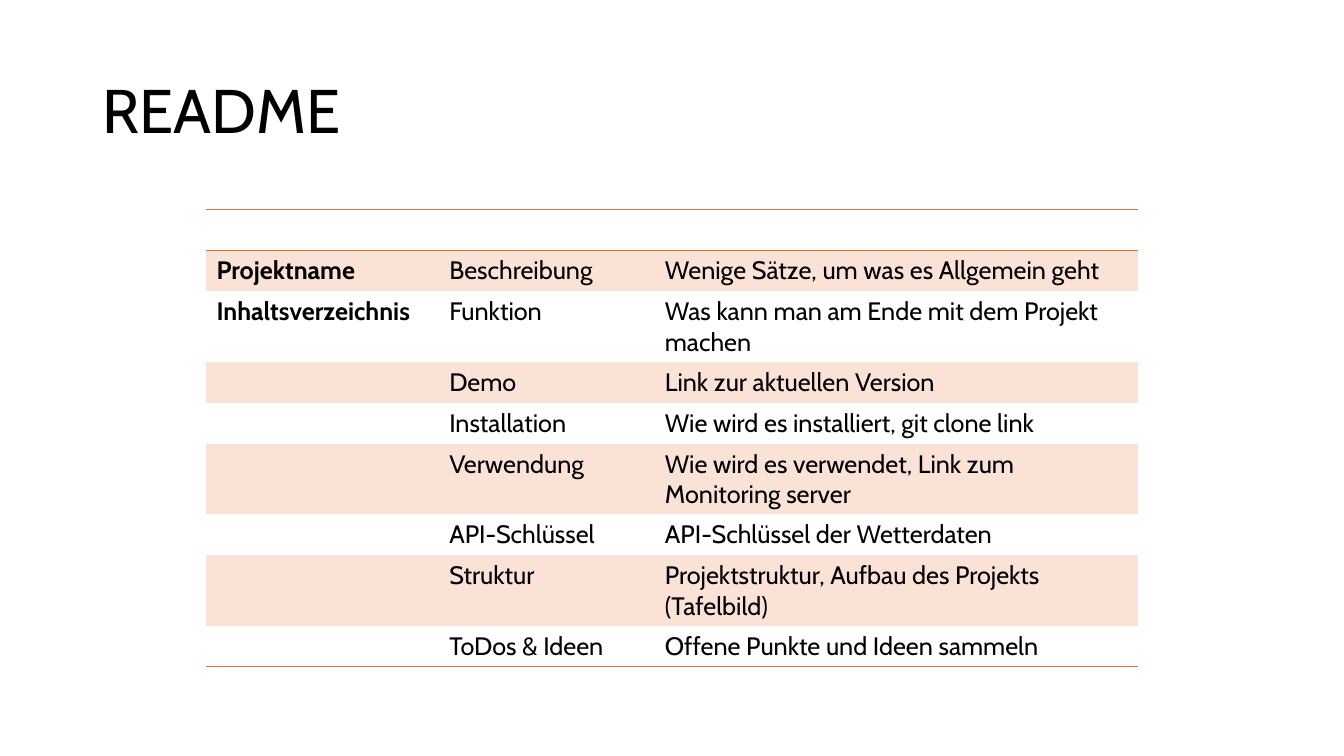
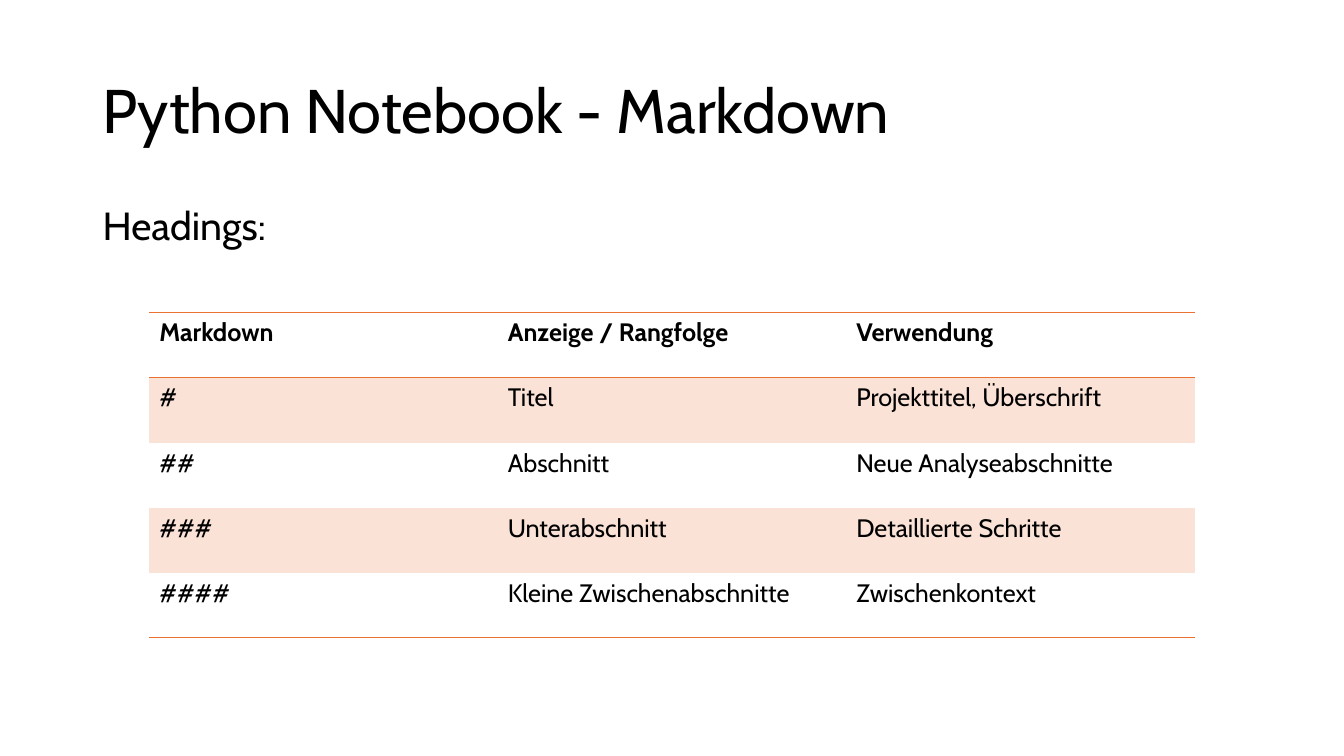
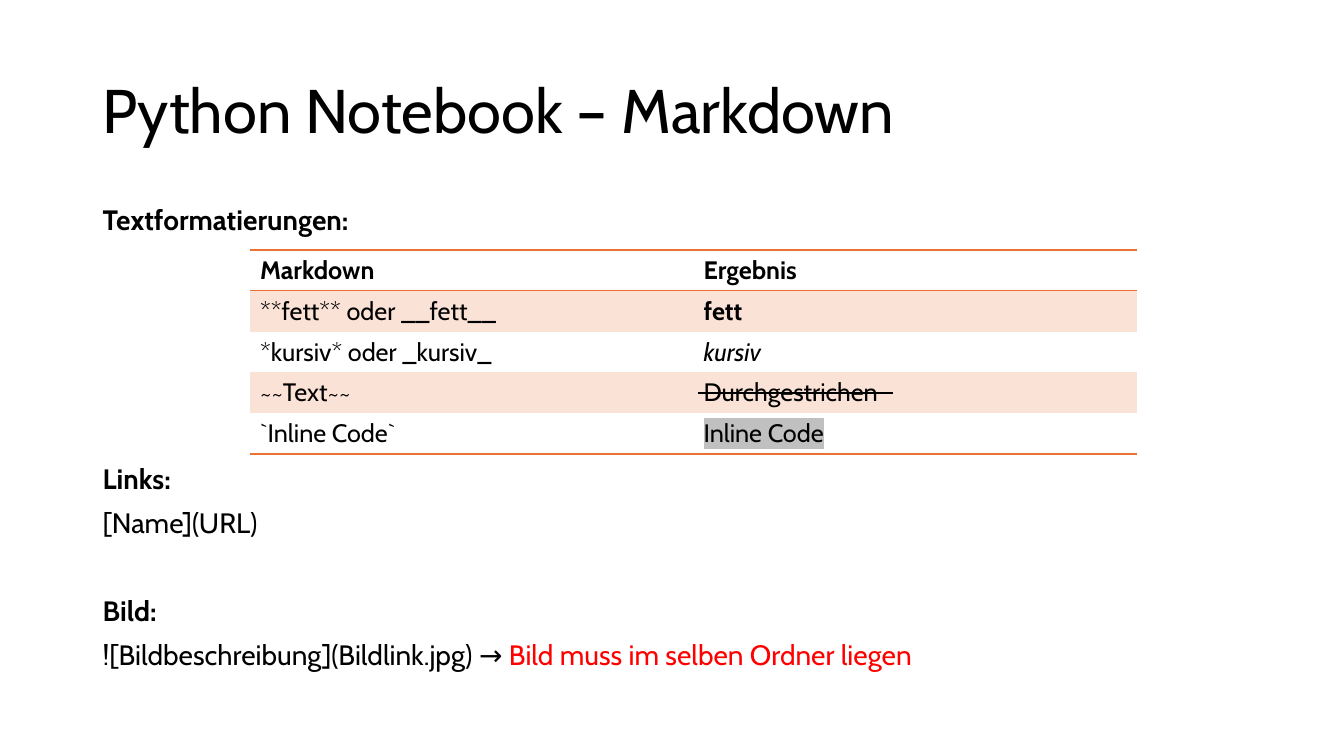
from dataclasses import dataclass

from lxml import etree
from pptx import Presentation
from pptx import util as u
from pptx.dml.color import RGBColor
from pptx.enum import shapes, text
from pptx.oxml import ns

BLACK = RGBColor(0x00, 0x00, 0x00)
RED = RGBColor(0xFF, 0x00, 0x00)
ORANGE = RGBColor(0xE9, 0x71, 0x32)
PEACH = RGBColor(0xFA, 0xE2, 0xD6)
SILVER = RGBColor(0xC0, 0xC0, 0xC0)

FONT = "Cabin"
WIDTH, HEIGHT = u.Inches(13.33), u.Inches(7.5)
PLAIN_TABLE = "{2D5ABB26-0587-4C30-8999-92F81FD0307C}"
BOLD = {"bold": True}


@dataclass
class Box:
    """A region in percent of the slide's width and height."""
    left: float
    top: float
    width: float
    height: float

    def emu(self):
        return (int(WIDTH * self.left / 100), int(HEIGHT * self.top / 100),
                int(WIDTH * self.width / 100), int(HEIGHT * self.height / 100))


TITLE = Box(6.9, 5.33, 86.25, 19.33)
BODY = Box(6.9, 26.67, 86.25, 63.47)


def add_run(paragraph, words, size, color=BLACK, highlight=None, **formats):
    run = paragraph.add_run()
    run.text = words
    run.font.color.rgb = color
    for name, value in {"name": FONT, "size": u.Pt(size), **formats}.items():
        setattr(run.font, name, value)
    if highlight:
        mark = etree.Element(ns.qn("a:highlight"))
        etree.SubElement(mark, ns.qn("a:srgbClr"), val=str(highlight))
        run.font._element.find(ns.qn("a:latin")).addprevious(mark)


def add_text(slide, box, paragraphs, size, anchor=text.MSO_ANCHOR.TOP):
    """Each paragraph is (space before, [(words, formats), ...])."""
    frame = slide.shapes.add_textbox(*box.emu()).text_frame
    frame.word_wrap = True
    frame.vertical_anchor = anchor
    for number, (space, runs) in enumerate(paragraphs):
        paragraph = frame.add_paragraph() if number else frame.paragraphs[0]
        paragraph.line_spacing = 0.9
        paragraph.space_before = u.Pt(space)
        for words, formats in runs:
            add_run(paragraph, words, size, **formats)


def add_rule(cell, sides):
    """Draws orange borders on the given sides, named T and B."""
    properties = cell._tc.get_or_add_tcPr()
    for place, side in enumerate(sides):
        line = etree.Element(ns.qn(f"a:ln{side}"), w=str(u.Pt(1)))
        fill = etree.SubElement(line, ns.qn("a:solidFill"))
        etree.SubElement(fill, ns.qn("a:srgbClr"), val=str(ORANGE))
        properties.insert(place, line)


def add_banded_table(slide, box, shares, rows, bold_first_column=False):
    """Header and last row are ruled, every second row is tinted."""
    left, top, width, height = box.emu()
    frame = slide.shapes.add_table(len(rows), len(shares), left, top, width, height)
    table = frame.table
    table._tbl.tblPr.find(ns.qn("a:tableStyleId")).text = PLAIN_TABLE
    for column, share in zip(table.columns, shares):
        column.width = int(width * share / sum(shares))
    for r, row in enumerate(rows):
        for c, content in enumerate(row):
            words, formats = content if isinstance(content, tuple) else (content, {})
            cell = table.cell(r, c)
            if words:
                bold = r == 0 or (bold_first_column and c == 0)
                add_run(cell.text_frame.paragraphs[0], words, 18,
                        **{"bold": bold, **formats})
            if r % 2:
                cell.fill.solid()
                cell.fill.fore_color.rgb = PEACH
            else:
                cell.fill.background()
            if r == 0:
                add_rule(cell, "TB")
            elif r == len(rows) - 1:
                add_rule(cell, "B")


def add_strike(slide, box, row, rows):
    """Strikes through the words in the right half of a table row."""
    left, top, width, height = box.emu()
    y = top + int(height * (row + 0.5) / rows)
    column = width / 2
    start, end = (left + int(column * share) for share in (1.01, 1.45))
    strike = slide.shapes.add_connector(shapes.MSO_CONNECTOR.STRAIGHT, start, y, end, y)
    strike.line.color.rgb = BLACK
    strike.line.width = u.Pt(1.5)
    etree.SubElement(strike._element.spPr, ns.qn("a:effectLst"))


def add_titled_slide(deck, title):
    slide = deck.slides.add_slide(deck.slide_layouts[6])
    add_text(slide, TITLE, [(0, [(title, {})])], 44, text.MSO_ANCHOR.MIDDLE)
    return slide


def readme_slide(deck):
    slide = add_titled_slide(deck, "README")
    sections = [
        ("", "", ""),
        ("Projektname", "Beschreibung", "Wenige Sätze, um was es Allgemein geht"),
        ("Inhaltsverzeichnis", "Funktion", "Was kann man am Ende mit dem Projekt machen"),
        ("", "Demo", "Link zur aktuellen Version"),
        ("", "Installation", "Wie wird es installiert, git clone link"),
        ("", "Verwendung", "Wie wird es verwendet, Link zum Monitoring server"),
        ("", "API-Schlüssel", "API-Schlüssel der Wetterdaten"),
        ("", "Struktur", "Projektstruktur, Aufbau des Projekts (Tafelbild)"),
        ("", "ToDos & Ideen", "Offene Punkte und Ideen sammeln"),
    ]
    add_banded_table(slide, Box(15.36, 27.73, 69.35, 48.7), (2.31, 2.14, 4.8),
                     sections, bold_first_column=True)


def headings_slide(deck):
    slide = add_titled_slide(deck, "Python Notebook - Markdown")
    add_text(slide, BODY, [(10, [("Headings:", {})])], 28)
    levels = [
        ("Markdown", "Anzeige / Rangfolge", "Verwendung"),
        ("#", "Titel", "Projekttitel, Überschrift"),
        ("##", "Abschnitt", "Neue Analyseabschnitte"),
        ("###", "Unterabschnitt", "Detaillierte Schritte"),
        ("####", "Kleine Zwischenabschnitte", "Zwischenkontext"),
    ]
    add_banded_table(slide, Box(11.1, 41.33, 77.8, 43.07), (1, 1, 1), levels)


def formatting_slide(deck):
    slide = add_titled_slide(deck, "Python Notebook – Markdown")
    add_text(slide, BODY, [
        (10, [("Textformatierungen:", BOLD)]),
        (163, [("Links:", BOLD)]),
        (10, [("[Name](URL)", {})]),
        (41, [("Bild:", BOLD)]),
        (10, [("![Bildbeschreibung](Bildlink.jpg) → ", {}),
              ("Bild muss im selben Ordner liegen", {"color": RED})]),
    ], 20)
    examples = [
        ("Markdown", "Ergebnis"),
        ("**fett** oder __fett__", ("fett", BOLD)),
        ("*kursiv* oder _kursiv_", ("kursiv", {"italic": True})),
        ("~~Text~~", "Durchgestrichen"),
        ("`Inline Code`", ("Inline Code", {"highlight": SILVER})),
    ]
    box = Box(18.6, 33.07, 66, 27)
    add_banded_table(slide, box, (1, 1), examples)
    add_strike(slide, box, 3, len(examples))


def main():
    deck = Presentation()
    deck.slide_width, deck.slide_height = WIDTH, HEIGHT
    for build in (readme_slide, headings_slide, formatting_slide):
        build(deck)
    deck.save("out.pptx")


if __name__ == "__main__":
    main()
